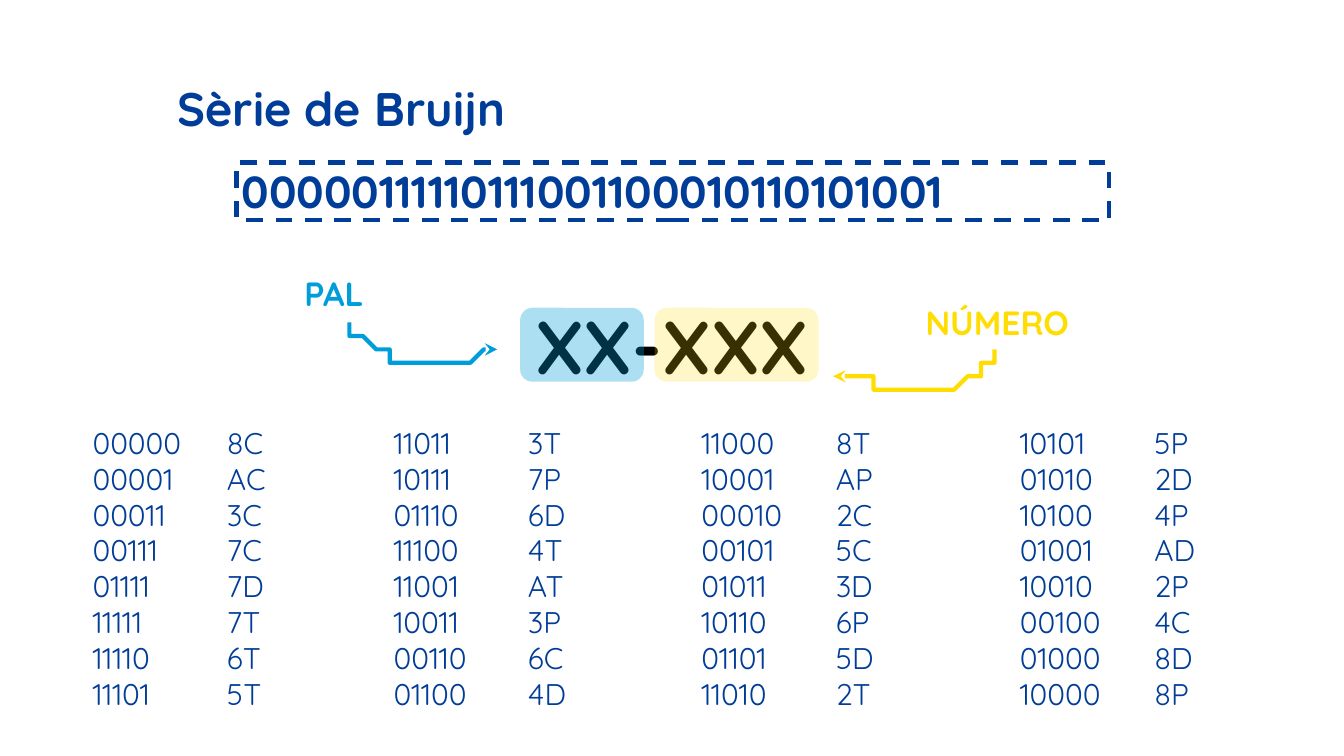
from dataclasses import dataclass

import pptx
import pptx.dml.color
import pptx.enum.dml
import pptx.enum.shapes
import pptx.enum.text
import pptx.oxml
import pptx.oxml.ns
import pptx.util

COLORS = {"navy": "003D98", "sky": "009DDB", "yellow": "FFDD00", "black": "000000"}
FONT = "Quicksand"
UNIT = pptx.util.Inches(0.1)
SERIES = "00000111110111001100010110101001"
CARDS = ("8C AC 3C 7C 7D 7T 6T 5T 3T 7P 6D 4T AT 3P 6C 4D "
         "8T AP 2C 5C 3D 6P 5D 2T 5P 2D 4P AD 2P 4C 8D 8P").split()
WINDOW = 5
ROWS = 8
LEFT = pptx.enum.text.PP_ALIGN.LEFT
CENTER = pptx.enum.text.PP_ALIGN.CENTER
TOP = pptx.enum.text.MSO_ANCHOR.TOP
MIDDLE = pptx.enum.text.MSO_ANCHOR.MIDDLE

Point = tuple[float, float]


@dataclass(frozen=True)
class Box:
    col: float
    row: float
    cols: float
    rows: float

    def emu(self) -> list[int]:
        return [round(v * UNIT) for v in (self.col, self.row, self.cols, self.rows)]


@dataclass(frozen=True)
class Label:
    box: Box
    lines: list[str]
    size: float
    color: str
    bold: bool = True
    align: int = CENTER
    anchor: int = TOP
    tab: float = 0


@dataclass(frozen=True)
class Highlight:
    box: Box
    color: str
    alpha: int


@dataclass(frozen=True)
class Arrow:
    start: Point
    curves: list[tuple[Point, Point, Point]]
    color: str


def rgb(name: str) -> pptx.dml.color.RGBColor:
    return pptx.dml.color.RGBColor.from_string(COLORS[name])


def add_element(parent, tag: str, **attrs):
    child = pptx.oxml.parse_xml(f"<a:{tag} {pptx.oxml.ns.nsdecls('a')}/>")
    for key, value in attrs.items():
        child.set(key, str(value))
    parent.append(child)
    return child


def write(tf, label: Label) -> None:
    tf.word_wrap = True
    tf.auto_size = pptx.enum.text.MSO_AUTO_SIZE.NONE
    tf.vertical_anchor = label.anchor
    tf.margin_left = tf.margin_right = tf.margin_top = tf.margin_bottom = UNIT
    for i, line in enumerate(label.lines):
        p = tf.add_paragraph() if i else tf.paragraphs[0]
        p.text = line
        p.alignment = label.align
        if label.tab:
            tabs = add_element(p._p.get_or_add_pPr(), "tabLst")
            add_element(tabs, "tab", pos=round(label.tab * UNIT), algn="l")
        p.font.name = FONT
        p.font.size = pptx.util.Pt(label.size)
        p.font.bold = label.bold
        p.font.color.rgb = rgb(label.color)


def add_title(slide, label: Label) -> None:
    sp = slide.shapes.title
    sp.left, sp.top, sp.width, sp.height = label.box.emu()
    write(sp.text_frame, label)


def add_label(slide, label: Label) -> None:
    write(slide.shapes.add_textbox(*label.box.emu()).text_frame, label)


def add_highlight(slide, mark: Highlight) -> None:
    sp = slide.shapes.add_shape(
        pptx.enum.shapes.MSO_SHAPE.ROUNDED_RECTANGLE, *mark.box.emu())
    sp.shadow.inherit = False
    sp.line.fill.background()
    sp.fill.solid()
    sp.fill.fore_color.rgb = rgb(mark.color)
    color = sp._element.spPr.find(".//" + pptx.oxml.ns.qn("a:srgbClr"))
    add_element(color, "alpha", val=mark.alpha * 1000)


def outline(sp, color: str) -> None:
    sp.shadow.inherit = False
    sp.fill.background()
    sp.line.color.rgb = rgb(color)
    sp.line.width = pptx.util.Pt(2.25)


def add_frame(slide, box: Box) -> None:
    sp = slide.shapes.add_shape(pptx.enum.shapes.MSO_SHAPE.RECTANGLE, *box.emu())
    outline(sp, "navy")
    sp.line.dash_style = pptx.enum.dml.MSO_LINE.DASH


def bezier(a: Point, b: Point, c: Point, d: Point, steps: int = 16) -> list[Point]:
    points = []
    for i in range(1, steps + 1):
        t = i / steps
        weights = ((1 - t) ** 3, 3 * t * (1 - t) ** 2, 3 * t * t * (1 - t), t ** 3)
        points.append(tuple(sum(w * v for w, v in zip(weights, axis))
                            for axis in zip(a, b, c, d)))
    return points


def add_arrow(slide, arrow: Arrow) -> None:
    points = [arrow.start]
    for curve in arrow.curves:
        points += bezier(points[-1], *curve)
    builder = slide.shapes.build_freeform(*arrow.start, scale=float(UNIT))
    builder.add_line_segments(points[1:], close=False)
    sp = builder.convert_to_shape()
    outline(sp, arrow.color)
    add_element(sp.line._get_or_add_ln(), "tailEnd", type="stealth")


def code_lines(column: int) -> list[str]:
    ring = SERIES + SERIES[:WINDOW - 1]
    first = column * ROWS
    return [f"{ring[i:i + WINDOW]}\t{CARDS[i]}" for i in range(first, first + ROWS)]


def main() -> None:
    prs = pptx.Presentation()
    prs.slide_width = 100 * UNIT
    prs.slide_height = round(56.25 * UNIT)
    slide = prs.slides.add_slide(prs.slide_layouts[5])

    add_title(slide, Label(Box(12.2, 4.9, 84.4, 6.3), ["Sèrie de Bruijn"],
                           25.2, "navy", align=LEFT, anchor=MIDDLE))
    add_label(slide, Label(Box(32.9, 21.3, 34.2, 8.8), ["XX-XXX"], 40, "black"))
    for mark in (Highlight(Box(38.7, 22.9, 9.2, 5.5), "sky", 32),
                 Highlight(Box(48.7, 22.9, 12.2, 5.5), "yellow", 22)):
        add_highlight(slide, mark)

    add_frame(slide, Box(17.6, 12.1, 64.9, 4.3))
    add_label(slide, Label(Box(17, 11.2, 66, 6.1), [SERIES], 24, "navy", align=LEFT))

    for i, (col, cols) in enumerate(
            [(5.9, 16.5), (28.3, 20.5), (51.2, 20.5), (74.9, 19.3)]):
        add_label(slide, Label(Box(col, 30.6, cols, 23.6), code_lines(i), 16, "navy",
                               bold=False, align=LEFT, tab=10))

    for label in (
            Label(Box(19.7, 19.6, 10.3, 4.4), ["PAL"], 18, "sky", anchor=MIDDLE),
            Label(Box(67.1, 21.2, 14.2, 5.5), ["NÚMERO"], 18, "yellow", anchor=MIDDLE)):
        add_label(slide, label)

    for arrow in (
            Arrow((25.8, 24.1), [((26.6, 24.6), (28.7, 26.9), (30.6, 27.3)),
                                 ((32.4, 27.6), (36, 26.3), (37.1, 26.1))], "sky"),
            Arrow((74.3, 26.4), [((73.5, 26.9), (71.4, 29.1), (69.3, 29.3)),
                                 ((67.3, 29.5), (63.1, 27.9), (61.9, 27.7))], "yellow")):
        add_arrow(slide, arrow)

    prs.save("out.pptx")


if __name__ == "__main__":
    main()
